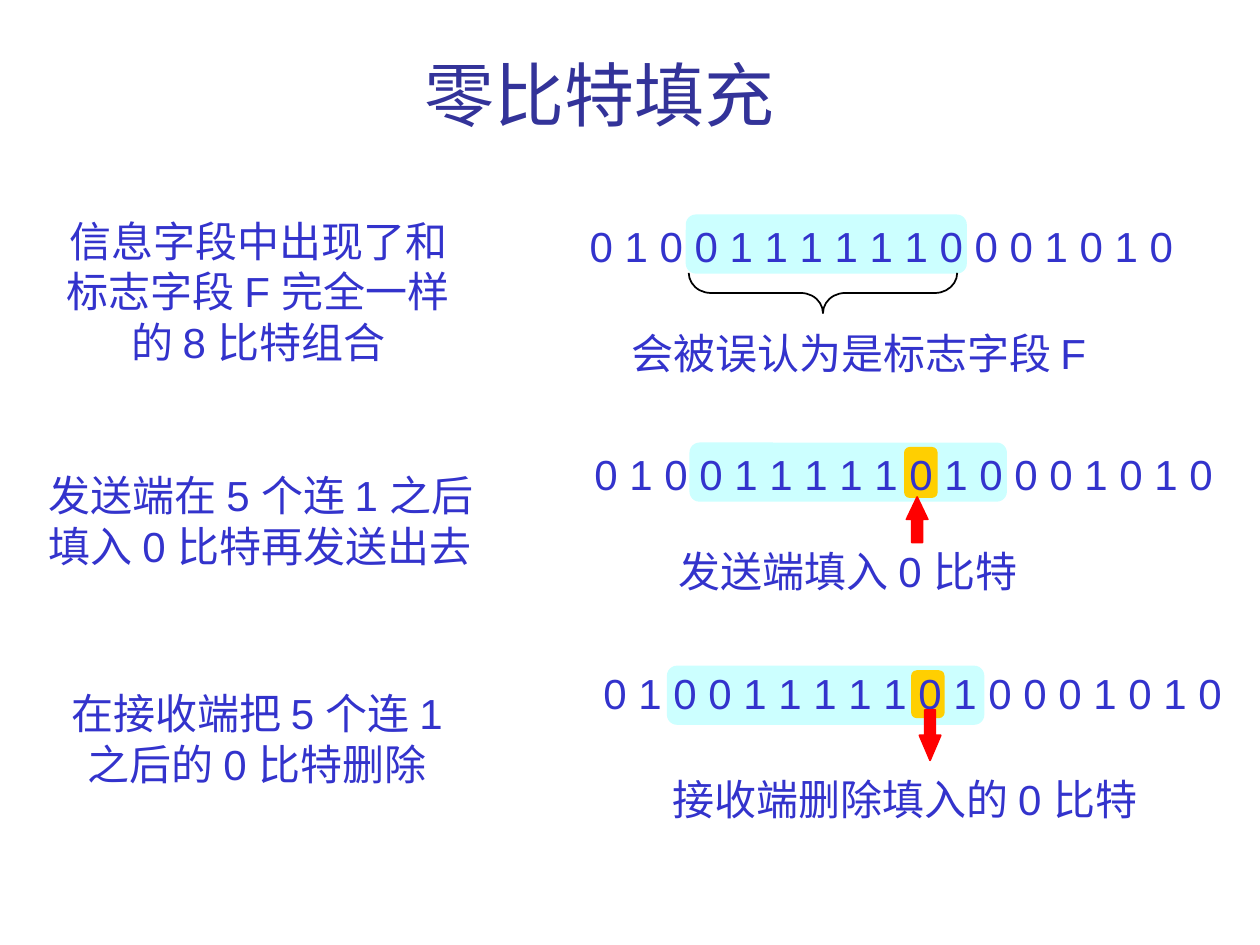
from pptx import Presentation
from pptx.dml.color import RGBColor
from pptx.enum.shapes import MSO_SHAPE
from pptx.enum.text import MSO_ANCHOR, MSO_AUTO_SIZE, PP_ALIGN
from pptx.util import Pt

BLUE = RGBColor(0x33, 0x33, 0xCC)
NAVY = RGBColor(0x33, 0x33, 0x99)
CYAN = RGBColor(0xCC, 0xFF, 0xFF)
GOLD = RGBColor(0xFF, 0xCF, 0x01)
RED = RGBColor(0xFF, 0, 0)
BLACK = RGBColor(0, 0, 0)
LEFT, MID = PP_ALIGN.LEFT, PP_ALIGN.CENTER
LINE, PAD = 28.8, 7.2

TITLE = ("零比特填充", 235.4, 25.9, 217, 55.4)

TEXTS = [
    ("信息字段中出现了和\n标志字段 F 完全一样\n的 8 比特组合", 23.6, 119.5, 248, MID),
    ("0 1 0 0 1 1 1 1 1 1 0 0 0 1 0 1 0", 329.8, 122.4, 350, LEFT),
    ("会被误认为是标志字段 F", 353.5, 183.6, 290, LEFT),
    ("发送端在 5 个连 1 之后\n填入 0 比特再发送出去", 20.9, 265, 283, LEFT),
    ("0 1 0 0 1 1 1 1 1 0 1 0 0 0 1 0 1 0", 332.6, 252.7, 370, LEFT),
    ("发送端填入 0 比特", 380.9, 308.2, 222, LEFT),
    ("在接收端把 5 个连 1\n之后的 0 比特删除", 22.9, 389.5, 248, MID),
    ("0 1 0 0 1 1 1 1 1 0 1 0 0 0 1 0 1 0", 337.7, 378, 370, LEFT),
    ("接收端删除填入的 0 比特", 377.3, 438.5, 294, LEFT),
]

BANDS = [
    (391.9, 122.6, 160.6, 33.8, CYAN),
    (394, 252.9, 181.4, 33.8, CYAN),
    (381.1, 380.4, 181.4, 33.8, CYAN),
    (516.6, 255.4, 19.2, 29.2, GOLD),
    (520.6, 383, 19.2, 27.4, GOLD),
]

ARROWS = [
    (MSO_SHAPE.UP_ARROW, 518, 284, 12.2, 26, 1.05),
    (MSO_SHAPE.DOWN_ARROW, 525.4, 405.7, 12.2, 28.8, 1.17),
]

BRACE = (458.8, 90.7, 23, 153.4)


def place(shape, *box):
    shape.left, shape.top, shape.width, shape.height = map(Pt, box)


def write(shape, text, size, font, color, align):
    frame = shape.text_frame
    frame.text = text
    frame.word_wrap = False
    frame.auto_size = MSO_AUTO_SIZE.SHAPE_TO_FIT_TEXT
    frame.vertical_anchor = MSO_ANCHOR.TOP
    for para in frame.paragraphs:
        para.alignment = align
        para.font.size = Pt(size)
        para.font.name = font
        para.font.color.rgb = color


def draw(slide, kind, box, fill=None, line=None, adjust=()):
    shape = slide.shapes.add_shape(kind, *map(Pt, box))
    shape.shadow.inherit = False
    for i, value in enumerate(adjust):
        shape.adjustments[i] = value
    if fill is None:
        shape.fill.background()
    else:
        shape.fill.solid()
        shape.fill.fore_color.rgb = fill
    if line is None:
        shape.line.fill.background()
    else:
        shape.line.color.rgb = line
        shape.line.width = Pt(1)
    return shape


def main():
    deck = Presentation()
    deck.slide_width, deck.slide_height = Pt(720), Pt(540)
    slide = deck.slides.add_slide(deck.slide_layouts[5])

    name, *box = TITLE
    title = slide.shapes.title
    place(title, *box)
    write(title, name, 40, "Cabin", NAVY, LEFT)

    for *box, fill in BANDS:
        draw(slide, MSO_SHAPE.ROUNDED_RECTANGLE, box, fill, adjust=[0.17])

    for text, x, y, wide, align in TEXTS:
        high = LINE * (text.count("\n") + 1) + PAD
        label = slide.shapes.add_textbox(*map(Pt, (x, y, wide, high)))
        write(label, text, 24, "Arial", BLUE, align)

    for kind, *box, head in ARROWS:
        draw(slide, kind, box, RED, RED, [0.5, head])

    brace = draw(slide, MSO_SHAPE.LEFT_BRACE, BRACE, None, BLACK, [0.55, 0.5])
    brace.rotation = 270

    deck.save("out.pptx")


if __name__ == "__main__":
    main()
